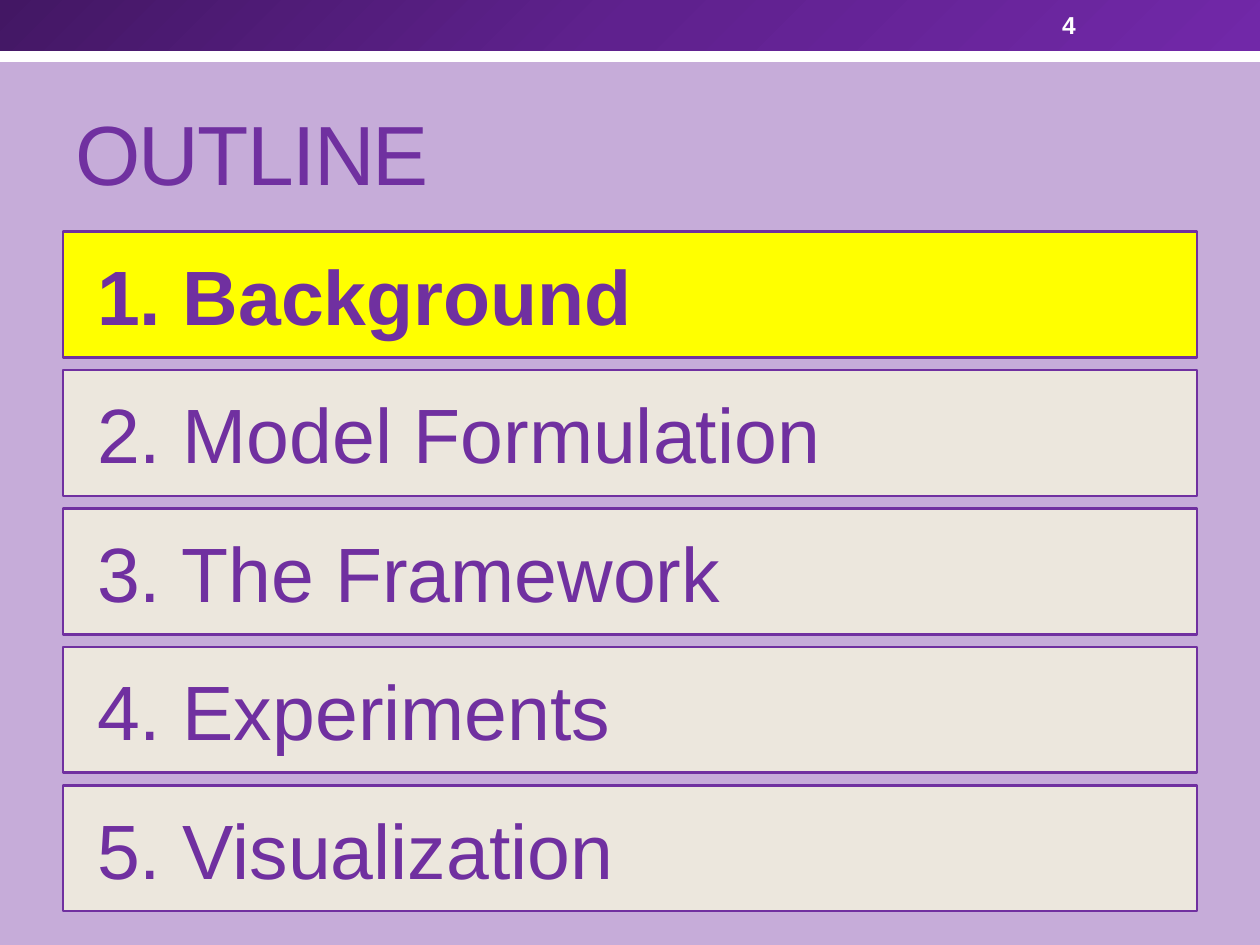
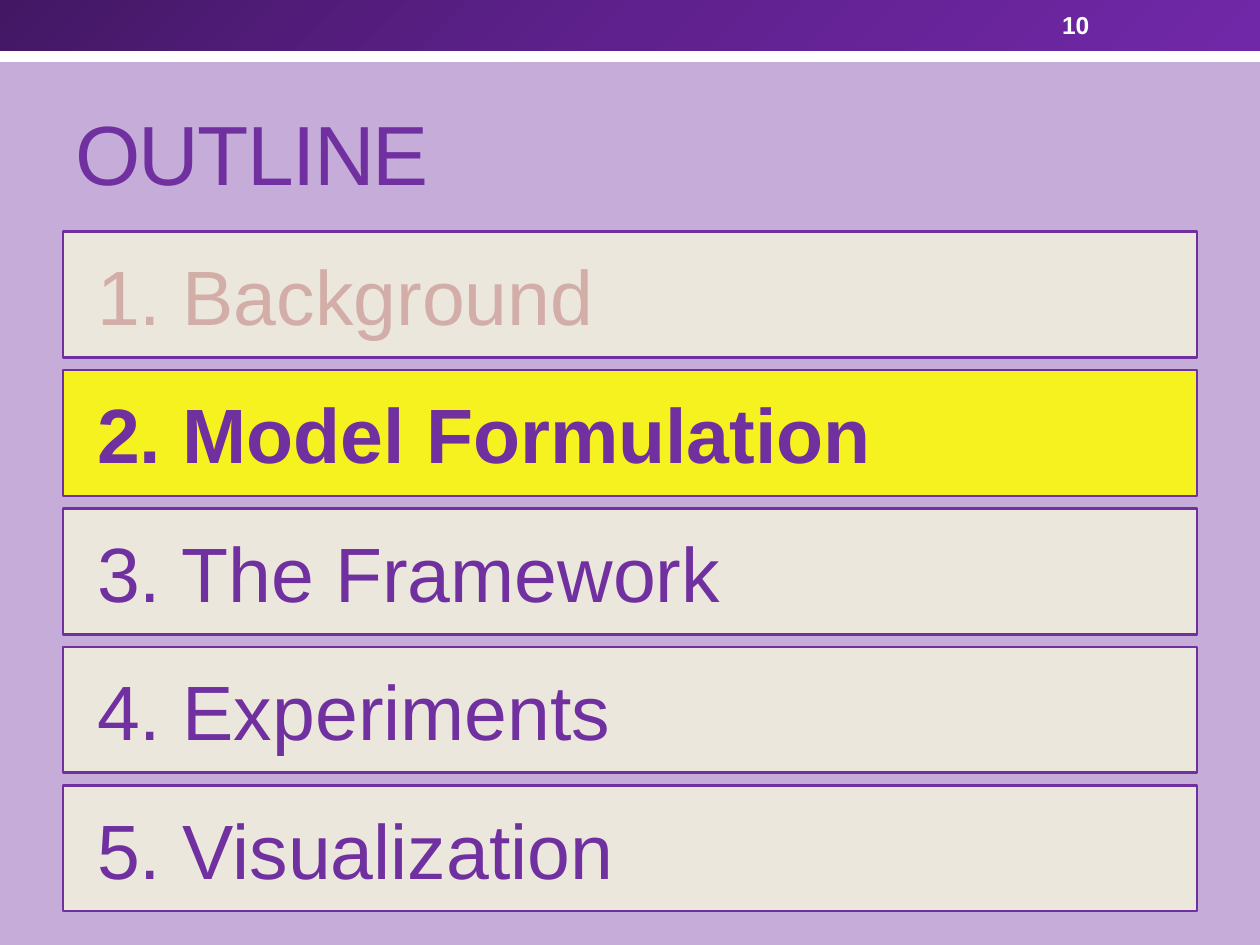
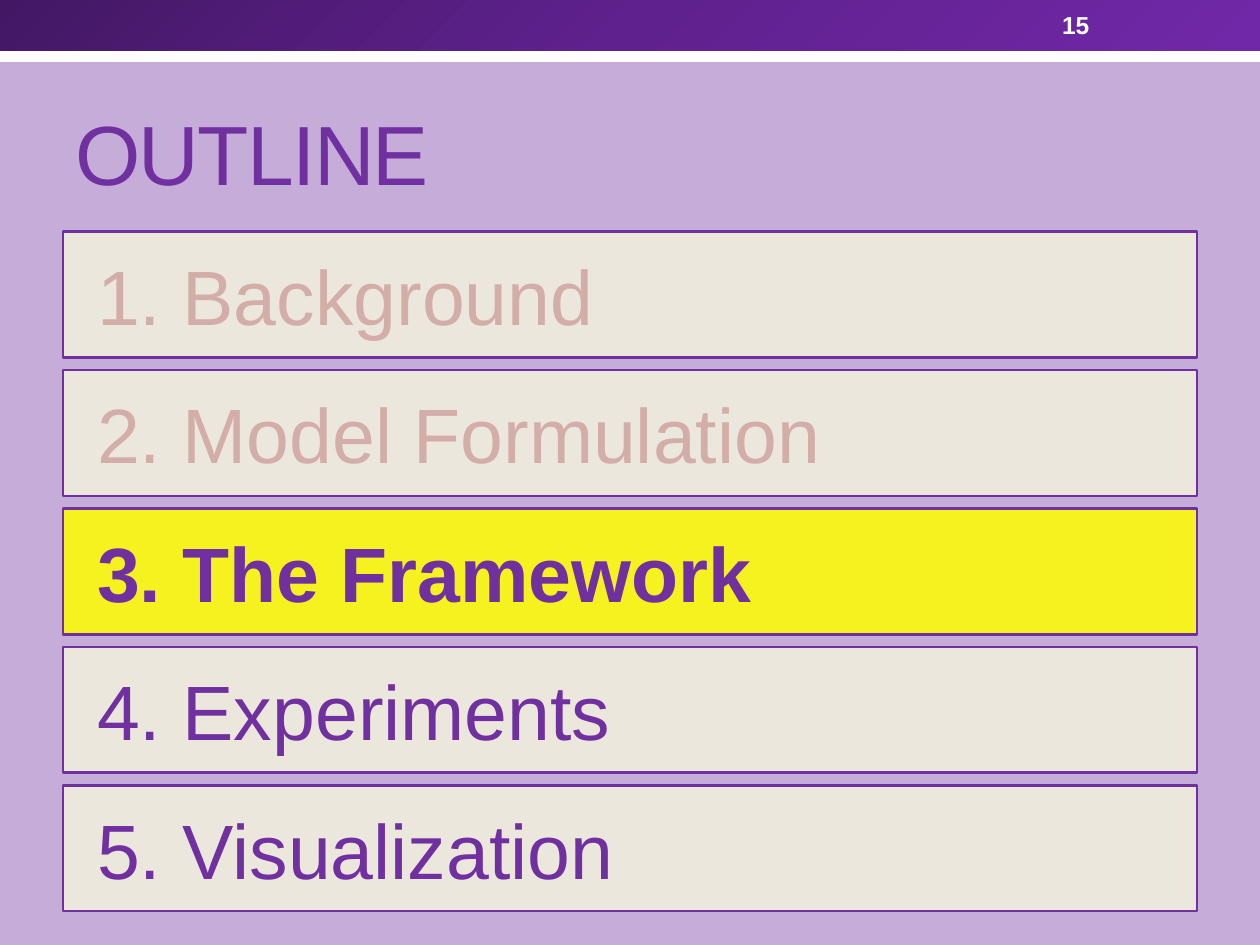
from copy import deepcopy

from lxml.etree import SubElement
from pptx import Presentation
from pptx.dml.color import RGBColor
from pptx.enum.shapes import MSO_SHAPE
from pptx.enum.text import MSO_ANCHOR, PP_ALIGN
from pptx.oxml.ns import qn
from pptx.util import Cm, Pt

FONT = "Arial"
PURPLE = "7030A0"
LAVENDER = "C6ACD9"
WHITE = "FFFFFF"
CREAM = "F3F2DE"
YELLOW = "FFFF00"
FADED = "D3AEA8"
BAND_COLOURS = ("431764", "5F218E", "7128A8")

SECTIONS = ("Background", "Model Formulation", "The Framework", "Experiments", "Visualization")
OUTLINE_SLIDES = ((4, 1, 100), (10, 2, 85), (15, 3, 85))

SLIDE_WIDTH, SLIDE_HEIGHT = 25.4, 19.05
MARGIN = 1.27
CONTENT_WIDTH = SLIDE_WIDTH - 2 * MARGIN
FIRST_ROW_TOP, ROW_HEIGHT, ROW_PITCH = 4.67, 2.54, 2.79


def colour(hex_code):
    """Turn a hex string into a colour."""
    return RGBColor.from_string(hex_code)


def set_text(shape, text, size, hex_code, bold=False, anchor=MSO_ANCHOR.MIDDLE):
    """Write one left-aligned paragraph into a shape and return it."""
    frame = shape.text_frame
    frame.word_wrap = True
    frame.vertical_anchor = anchor
    paragraph = frame.paragraphs[0]
    paragraph.text = text
    paragraph.alignment = PP_ALIGN.LEFT
    font = paragraph.font
    font.name, font.size, font.bold = FONT, Pt(size), bold
    font.color.rgb = colour(hex_code)
    return paragraph


def add_rectangle(slide, left, top, width, height, fill, opacity=100):
    """Add a borderless rectangle with a plain fill."""
    shape = slide.shapes.add_shape(
        MSO_SHAPE.RECTANGLE, Cm(left), Cm(top), Cm(width), Cm(height))
    shape.shadow.inherit = False
    shape.line.fill.background()
    shape.fill.solid()
    shape.fill.fore_color.rgb = colour(fill)
    if opacity < 100:
        fill_colour = shape.element.spPr.find(qn("a:solidFill"))[0]
        SubElement(fill_colour, qn("a:alpha"), val=str(opacity * 1000))
    return shape


def add_text_box(slide, left, top, width, height):
    """Add an empty text box."""
    return slide.shapes.add_textbox(Cm(left), Cm(top), Cm(width), Cm(height))


def add_header(slide, number):
    """Add the white strip, the gradient band and the slide number."""
    add_rectangle(slide, 0, 0.61, SLIDE_WIDTH, 0.64, WHITE)
    band = add_rectangle(slide, 0, 0, SLIDE_WIDTH, 1.02, PURPLE)
    band.fill.gradient()
    band.fill.gradient_angle = 315
    first_stop = band.element.spPr.find(".//" + qn("a:gs"))
    first_stop.addnext(deepcopy(first_stop))
    for stop, position, hex_code in zip(band.fill.gradient_stops, (0, 0.5, 1), BAND_COLOURS):
        stop.position = position
        stop.color.rgb = colour(hex_code)
    set_text(add_text_box(slide, 21.16, 0.05, 2.97, 0.91), str(number), 14, WHITE, bold=True)


def add_title(slide, text):
    """Add the slide title with slightly tightened letters."""
    box = add_text_box(slide, MARGIN, 1.47, CONTENT_WIDTH, 2.74)
    paragraph = set_text(box, text, 48, PURPLE, anchor=MSO_ANCHOR.BOTTOM)
    paragraph.runs[0].font._element.set("spc", "-100")


def add_section_row(slide, position, name, current, highlight_opacity):
    """Add one outline row: past rows faded, the current one highlighted."""
    is_current = position == current
    row = add_rectangle(
        slide, MARGIN, FIRST_ROW_TOP + (position - 1) * ROW_PITCH, CONTENT_WIDTH, ROW_HEIGHT,
        YELLOW if is_current else CREAM, highlight_opacity if is_current else 85)
    row.line.color.rgb = colour(PURPLE)
    row.line.width = Pt(1.5)
    row.text_frame.margin_left = Cm(0.69)
    text_colour = FADED if position < current else PURPLE
    set_text(row, f"{position}. {name}", 44, text_colour, bold=is_current)


def add_outline_slide(presentation, number, current, highlight_opacity):
    """Add an outline slide that marks the current section."""
    slide = presentation.slides.add_slide(presentation.slide_layouts[6])
    slide.background.fill.solid()
    slide.background.fill.fore_color.rgb = colour(LAVENDER)
    add_header(slide, number)
    add_title(slide, "OUTLINE")
    for position, name in enumerate(SECTIONS, start=1):
        add_section_row(slide, position, name, current, highlight_opacity)


def main():
    """Build and save the presentation."""
    presentation = Presentation()
    presentation.slide_width = Cm(SLIDE_WIDTH)
    presentation.slide_height = Cm(SLIDE_HEIGHT)
    for number, current, highlight_opacity in OUTLINE_SLIDES:
        add_outline_slide(presentation, number, current, highlight_opacity)
    presentation.save("out.pptx")


if __name__ == "__main__":
    main()
